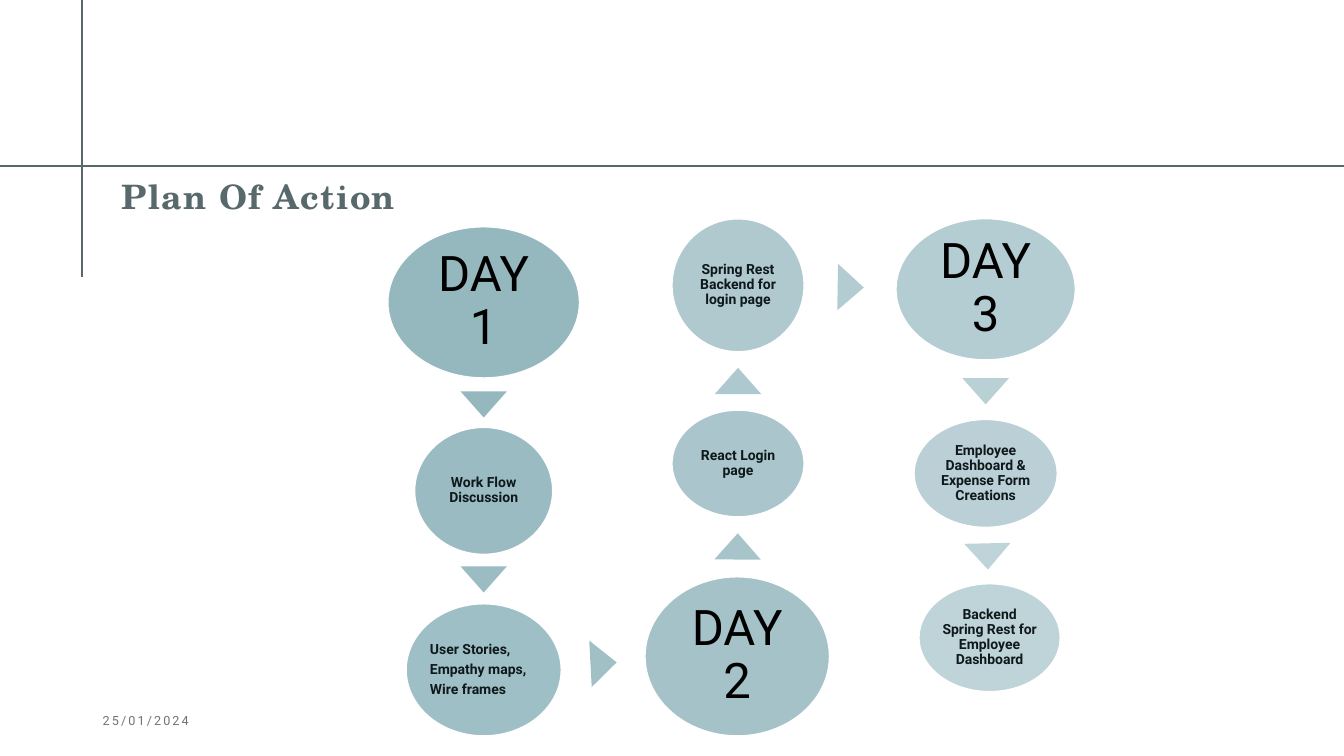
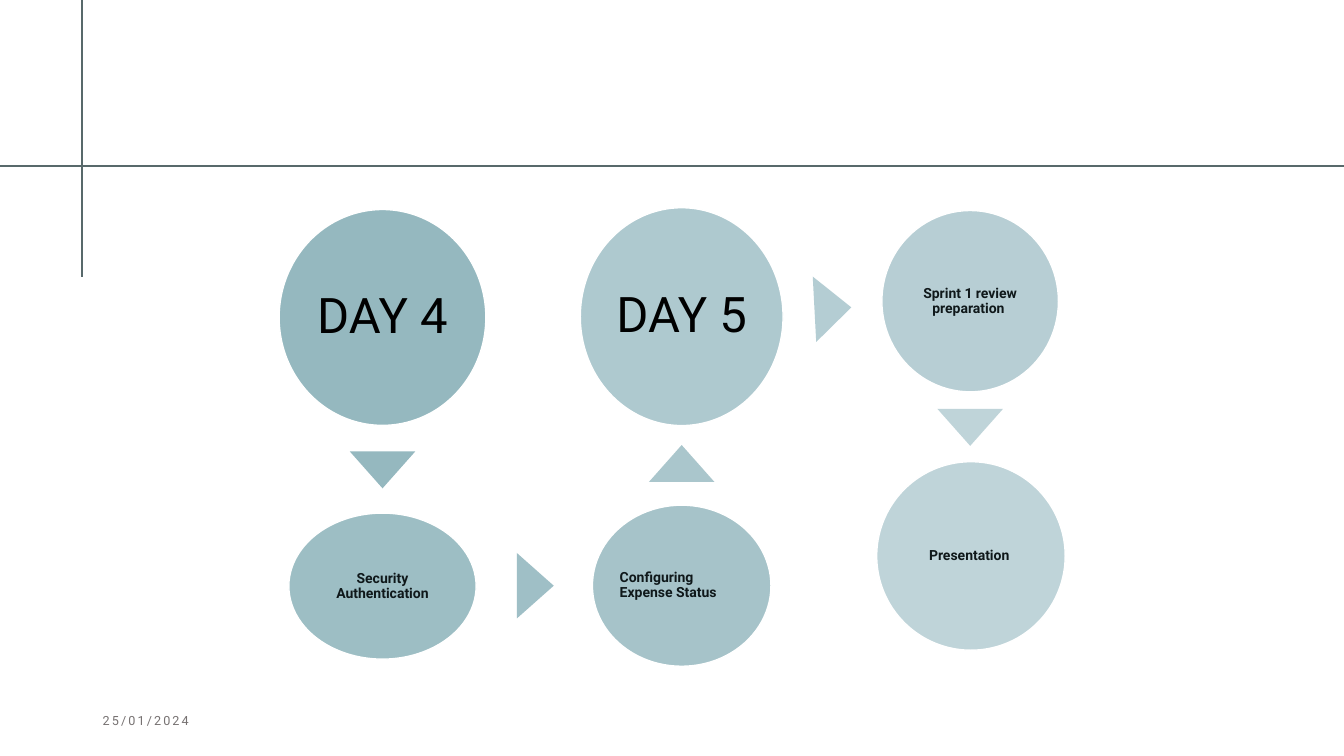
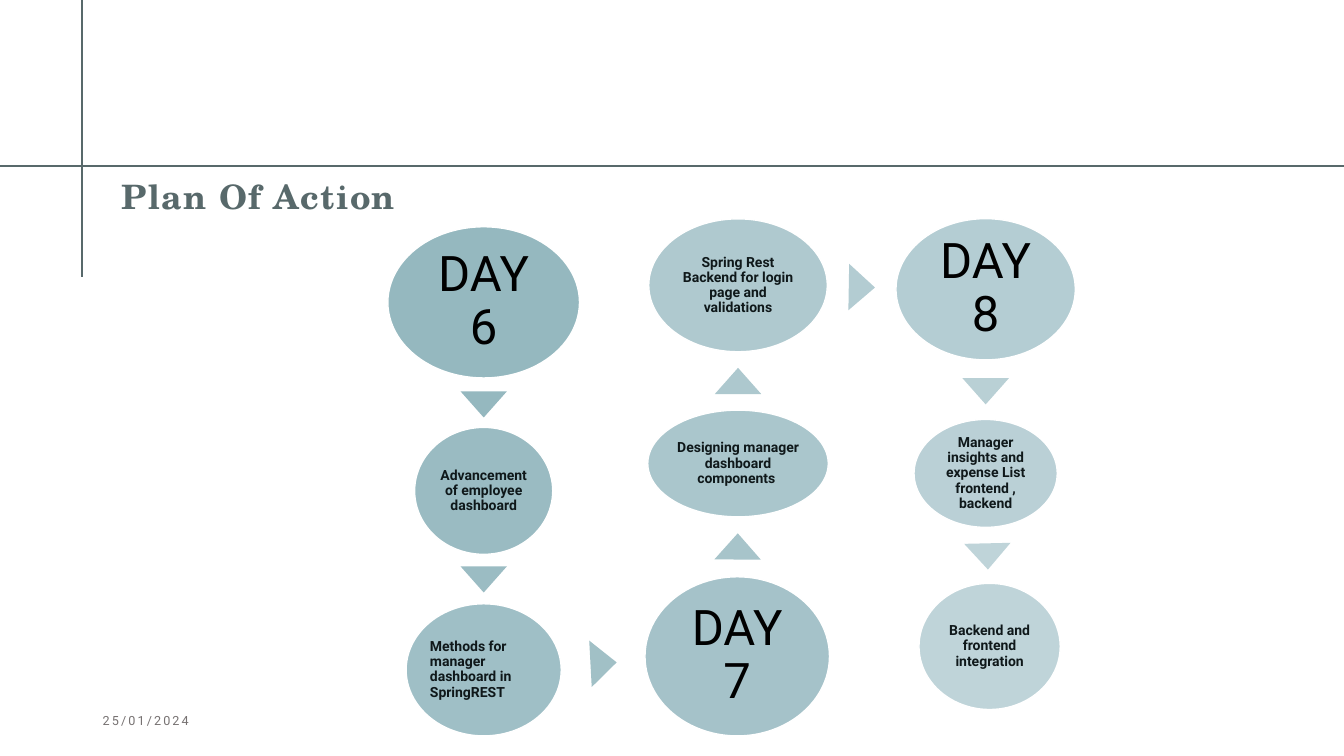
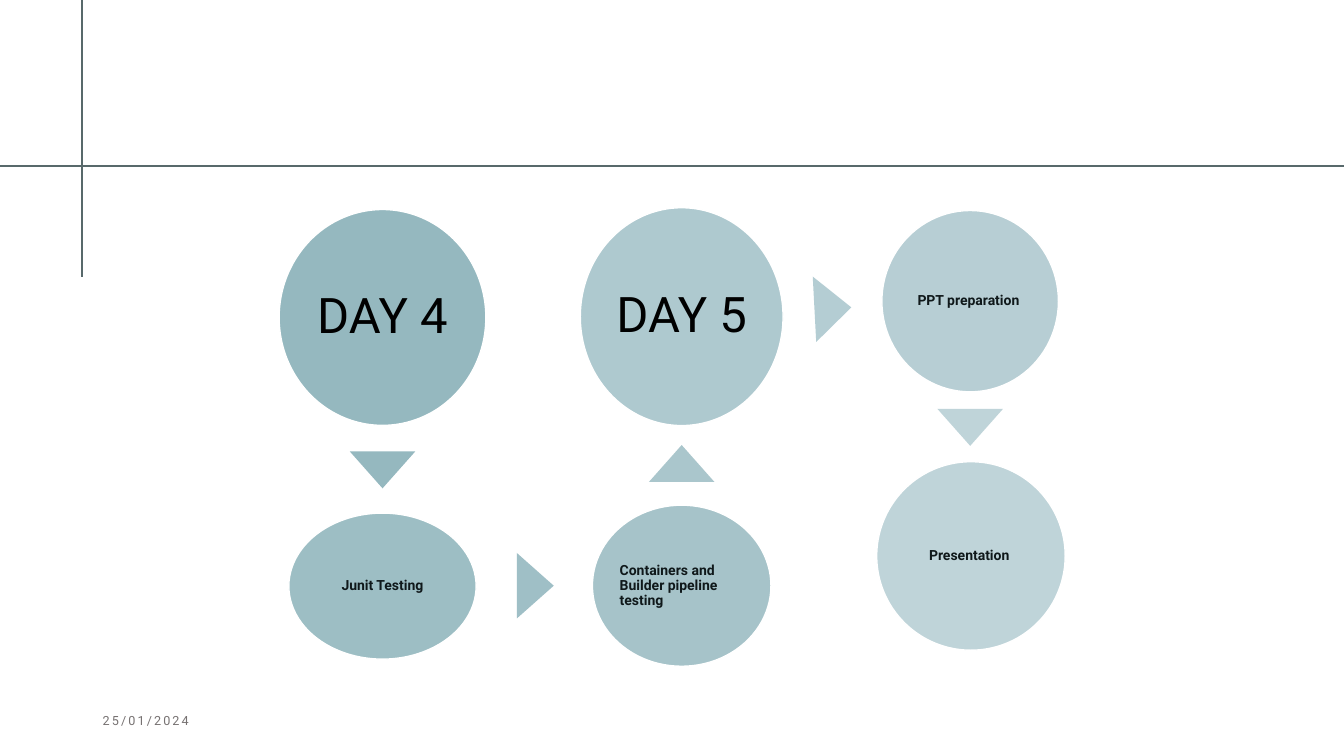
from lxml import etree
from pptx import Presentation
from pptx.dml.color import RGBColor
from pptx.enum.shapes import MSO_CONNECTOR, MSO_SHAPE
from pptx.enum.text import MSO_ANCHOR, PP_ALIGN
from pptx.oxml.ns import qn
from pptx.util import Cm, Pt

OVAL, WEDGE = MSO_SHAPE.OVAL, MSO_SHAPE.ISOSCELES_TRIANGLE
LINE = MSO_CONNECTOR.STRAIGHT
MIDDLE = MSO_ANCHOR.MIDDLE
LEFT, CENTER = PP_ALIGN.LEFT, PP_ALIGN.CENTER

WIDE, HIGH = 33.87, 19.05
SLATE, WHITE = "58696B", "FFFFFF"

TITLE = {"font": {"name": "TeX Gyre Schola", "size": Pt(24), "bold": True},
         "para": {"alignment": LEFT, "line_spacing": 0.9},
         "color": SLATE, "track": 100, "inset": None}
DATE = {"font": {"name": "Roboto", "size": Pt(9)},
        "para": {"alignment": LEFT},
        "color": "767171", "track": 150, "inset": None}
DAY = {"font": {"name": "Roboto", "size": Pt(35)},
       "para": {"alignment": CENTER, "line_spacing": 0.9},
       "color": "000000", "track": 0, "inset": 0.12}
TASK = {"font": {"name": "Roboto", "size": Pt(10), "bold": True},
        "para": {"alignment": CENTER, "line_spacing": 0.9, "space_after": Pt(3.5)},
        "color": "0F181A", "track": 0, "inset": 0.03}
NOTE = {**TASK, "para": {**TASK["para"], "alignment": LEFT}}

RULES = [(0, 4.19, WIDE, 4.19), (2.06, 0, 2.06, 6.99)]


def paint(target, code):
    target.solid()
    target.fore_color.rgb = RGBColor.from_string(code)


def write(shape, text, style):
    frame = shape.text_frame
    frame.word_wrap = True
    frame.vertical_anchor = MIDDLE
    if style["inset"] is not None:
        for side in ("left", "top", "right", "bottom"):
            setattr(frame, f"margin_{side}", Cm(style["inset"]))
    for num, line in enumerate(text.split("\n")):
        para = frame.add_paragraph() if num else frame.paragraphs[0]
        for key, value in style["para"].items():
            setattr(para, key, value)
        run = para.add_run()
        run.text = line
        for key, value in style["font"].items():
            setattr(run.font, key, value)
        paint(run.font.fill, style["color"])
        if style["track"]:
            run.font._element.set("spc", str(style["track"]))


LONG = [
    (12.19, 7.62, 4.83, 3.81, "95B8BF", DAY),
    (12.19, 12.37, 3.48, 3.2, "9ABBC2", TASK),
    (12.19, 16.88, 3.91, 3.33, "9FBFC6", NOTE),
    (18.58, 16.54, 4.65, 4.01, "A5C2C9", DAY),
    (18.6, 11.68, 3.33, 2.69, "AAC6CC", TASK),
    (18.6, 7.19, 3.33, 3.35, "AFC9CF", TASK),
    (24.84, 7.29, 4.52, 3.56, "B4CDD3", DAY),
    (24.84, 11.93, 3.61, 2.72, "BAD0D6", TASK),
    (24.94, 16.07, 3.56, 2.72, "BFD4D9", TASK),
]
BROAD = LONG.copy()
BROAD[4] = (18.6, 11.68, 4.55, 2.69, "AAC6CC", TASK)
BROAD[5] = (18.6, 7.19, 4.5, 3.35, "AFC9CF", TASK)
BROAD[8] = (24.94, 16.29, 3.56, 3.18, "BFD4D9", TASK)
SHORT = [
    (9.64, 8, 5.21, 5.44, "95B8BF", DAY),
    (9.64, 14.77, 4.72, 3.68, "9DBEC4", TASK),
    (17.18, 14.76, 4.5, 4.06, "A6C3C9", NOTE),
    (17.18, 7.98, 5.11, 5.49, "AEC9CF", DAY),
    (24.45, 7.59, 4.45, 4.57, "B7CED4", TASK),
    (24.47, 14.01, 4.75, 4.75, "BFD4D9", TASK),
]

STEPS = [
    (12.19, 10.19, 180, "95B8BF"),
    (12.19, 14.6, 180, "9BBCC3"),
    (15.21, 16.71, 86.9, "A1C0C6"),
    (18.59, 13.77, 0.3, "A7C4CA"),
    (18.6, 9.6, 0, "ADC8CE"),
    (21.44, 7.24, 91, "B3CCD2"),
    (24.84, 9.86, 180, "B9D0D5"),
    (24.89, 14.02, 178.7, "BFD4D9"),
]
SHIFTED = STEPS.copy()
SHIFTED[5] = (21.72, 7.24, 91, "B3CCD2")
HOPS = [
    (9.64, 11.84, 180, "95B8BF"),
    (13.49, 14.76, 90, "9FBFC6"),
    (17.18, 11.68, 0, "AAC6CC"),
    (20.99, 7.77, 87, "B4CDD3"),
    (24.45, 10.77, 180, "BFD4D9"),
]
SMALL, LARGE = (1.17, 0.66), (1.65, 0.93)

PLANS = [
    ("Plan Of Action", LONG, STEPS, SMALL, [
        "DAY 1", "Work Flow Discussion",
        "User Stories,\nEmpathy maps,\nWire frames",
        "DAY 2", "React Login page", "Spring Rest Backend for login page",
        "DAY 3", "Employee Dashboard & Expense Form Creations",
        "Backend Spring Rest for Employee Dashboard"]),
    ("", SHORT, HOPS, LARGE, [
        "DAY 4", "Security Authentication", "Configuring Expense Status",
        "DAY 5", "Sprint 1 review preparation ", "Presentation "]),
    ("Plan Of Action", BROAD, SHIFTED, SMALL, [
        "DAY 6", "Advancement of employee dashboard",
        "Methods for manager dashboard in SpringREST",
        "DAY 7", "Designing manager dashboard components ",
        "Spring Rest Backend for login page and validations",
        "DAY 8", "Manager insights and expense List frontend , backend",
        "Backend and frontend integration"]),
    ("", SHORT, HOPS, LARGE, [
        "DAY 4", "Junit Testing",
        "Containers and Builder pipeline testing",
        "DAY 5", "PPT preparation ", "Presentation "]),
]

deck = Presentation()
deck.slide_width, deck.slide_height = Cm(WIDE), Cm(HIGH)

for title, nodes, turns, (base, rise), words in PLANS:
    slide = deck.slides.add_slide(deck.slide_layouts[6])
    shapes = slide.shapes

    for ends in RULES:
        rule = shapes.add_connector(LINE, *map(Cm, ends))
        paint(rule.line.fill, SLATE)
        rule.line.width = Pt(1.5)
        etree.SubElement(rule._element.spPr, qn("a:effectLst"))

    if title:
        write(shapes.add_textbox(Cm(2.82), Cm(3.25), Cm(12.8), Cm(3.5)), title, TITLE)
    write(shapes.add_textbox(Cm(2.34), Cm(17.65), Cm(7.62), Cm(1.02)), "25/01/2024", DATE)

    for (x, y, w, h, fill, style), text in zip(nodes, words):
        node = shapes.add_shape(OVAL, Cm(x - w / 2), Cm(y - h / 2), Cm(w), Cm(h))
        node.shadow.inherit = False
        paint(node.fill, fill)
        paint(node.line.fill, WHITE)
        node.line.width = Pt(1)
        write(node, text, style)

    for x, y, turn, fill in turns:
        arrow = shapes.add_shape(WEDGE, Cm(x - base / 2), Cm(y - rise / 2), Cm(base), Cm(rise))
        arrow.shadow.inherit = False
        arrow.rotation = turn
        paint(arrow.fill, fill)
        arrow.line.fill.background()

deck.save("out.pptx")
